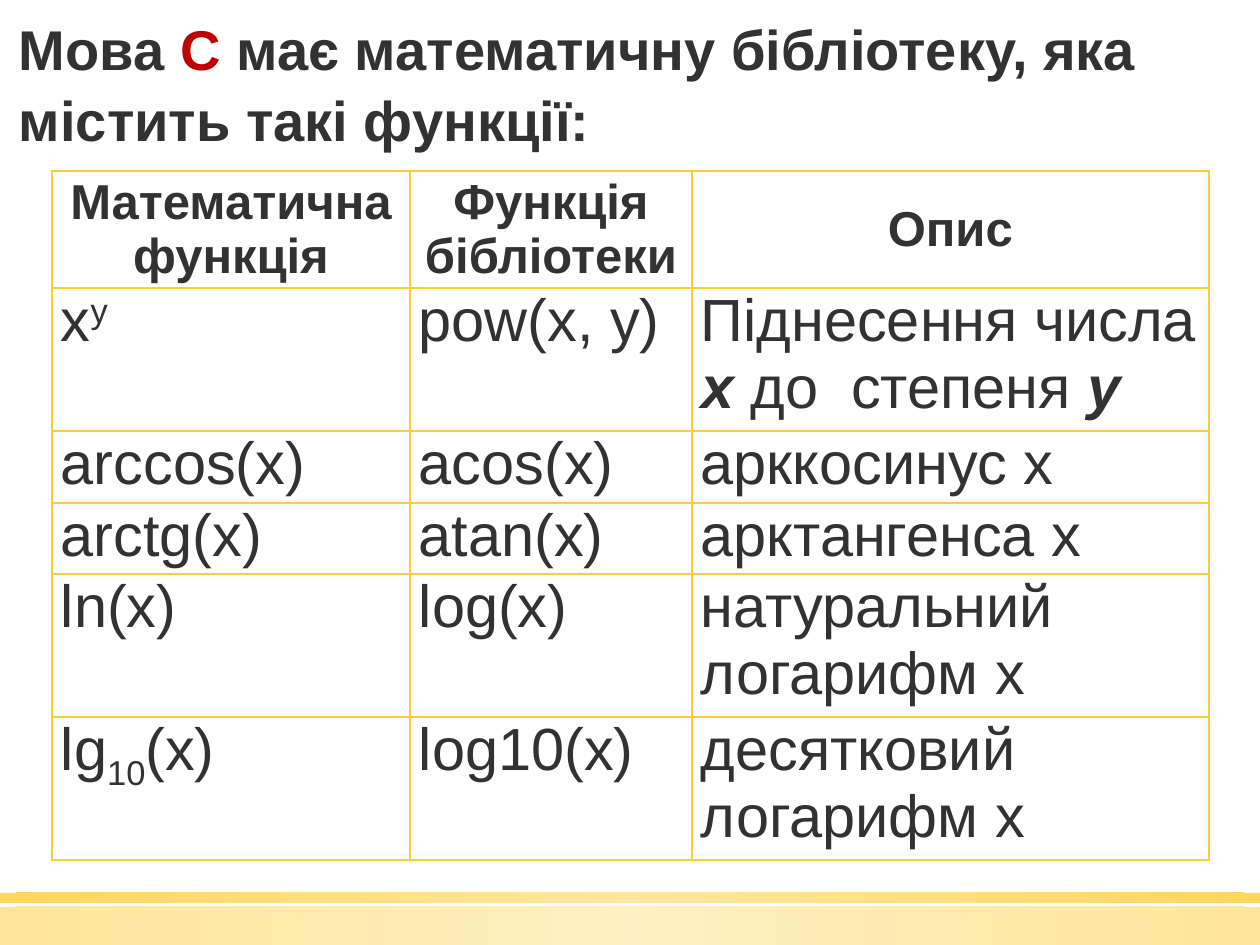
from lxml.etree import SubElement
from pptx import Presentation
from pptx.dml.color import RGBColor
from pptx.enum.shapes import MSO_SHAPE
from pptx.enum.text import MSO_ANCHOR, MSO_AUTO_SIZE, PP_ALIGN
from pptx.oxml import parse_xml
from pptx.oxml.ns import nsdecls, qn
from pptx.util import Pt

EMU_PER_PX = 914400 / 126
COLORS = {"text": "323232", "accent": "C00000", "gold": "FFCD36", "pale": "FFE186"}
FONT = "Arial"
TITLE_ONLY = 5

TITLE = [
    ("Мова ", {}),
    ("С", {"color": "accent"}),
    (" має математичну бібліотеку, яка містить такі функції:", {}),
]
STRONG = {"bold": True, "italic": True}
HEADERS = ["Математична функція", "Функція бібліотеки", "Опис"]
# A cell is plain text or a list of (text, format) runs.
FUNCTIONS = [
    [[("x", {}), ("y", {"baseline": 30})], "pow(x, y)",
     [("Піднесення числа ", {}), ("x ", STRONG), ("до  степеня ", {}), ("y", STRONG)]],
    ["arccos(x)", "acos(x)", "арккосинус x"],
    ["arctg(x)", "atan(x)", "арктангенса x"],
    ["ln(x)", "log(x)", "натуральний логарифм x"],
    [[("lg", {}), ("10", {"baseline": -25}), ("(x)", {})], "log10(x)",
     "десятковий логарифм x"],
]
COLUMN_WIDTHS = [358, 282, 517]
ROW_HEIGHTS = [117, 143, 72, 71, 143, 143]


def px(length):
    return round(length * EMU_PER_PX)


def add_text(paragraph, text, size, bold=False, italic=False, color="text", baseline=0):
    run = paragraph.add_run()
    run.text = text
    font = run.font
    font.name, font.size, font.bold, font.italic = FONT, Pt(size), bold, italic
    font.color.rgb = RGBColor.from_string(COLORS[color])
    if baseline:
        font._element.set("baseline", str(baseline * 1000))


def add_runs(paragraph, content, **base):
    """Write plain text or (text, format) runs over a shared base format."""
    runs = [(content, {})] if isinstance(content, str) else content
    for text, changes in runs:
        add_text(paragraph, text, **{**base, **changes})


def fill_radial(shape, opacity):
    """Fill with a glow that is pale in the centre and gold at the edges."""
    stops = "".join(
        f'<a:gs pos="{position}"><a:srgbClr val="{COLORS[name]}">'
        f'<a:alpha val="{opacity * 1000}"/></a:srgbClr></a:gs>'
        for position, name in ((0, "pale"), (100000, "gold"))
    )
    gradient = parse_xml(
        f'<a:gradFill {nsdecls("a")} rotWithShape="1"><a:gsLst>{stops}</a:gsLst>'
        '<a:path path="circle"><a:fillToRect l="50000" t="50000" r="50000" b="50000"/>'
        "</a:path></a:gradFill>"
    )
    shape._element.spPr.find(qn("a:prstGeom")).addnext(gradient)


def add_footer_bands(slide, left, top, width):
    for offset, height, opacity in ((14, 38, 50), (0, 10, 80)):
        band = slide.shapes.add_shape(
            MSO_SHAPE.RECTANGLE, px(left), px(top + offset), px(width), px(height))
        band.shadow.inherit = False
        band.line.fill.background()
        fill_radial(band, opacity)


def place_title(slide, left, top, width, height):
    title = slide.shapes.title
    title.left, title.top, title.width, title.height = map(px, (left, top, width, height))
    frame = title.text_frame
    frame.word_wrap = True
    frame.auto_size = MSO_AUTO_SIZE.NONE
    frame.vertical_anchor = MSO_ANCHOR.TOP
    frame.margin_left = px(19)
    paragraph = frame.paragraphs[0]
    paragraph.alignment = PP_ALIGN.LEFT
    paragraph.line_spacing = 1.05
    add_runs(paragraph, TITLE, size=32, bold=True)


def format_cell(cell):
    cell.margin_left = cell.margin_right = px(9)
    cell.margin_top = cell.margin_bottom = 0
    properties = cell._tc.get_or_add_tcPr()
    for side in ("lnL", "lnR", "lnT", "lnB"):
        line = SubElement(properties, qn(f"a:{side}"), w=str(Pt(1)))
        solid = SubElement(line, qn("a:solidFill"))
        SubElement(solid, qn("a:srgbClr"), val=COLORS["gold"])
    cell.fill.background()


def add_function_table(slide, left, top):
    table = slide.shapes.add_table(
        len(ROW_HEIGHTS), len(COLUMN_WIDTHS), px(left), px(top),
        px(sum(COLUMN_WIDTHS)), px(sum(ROW_HEIGHTS))).table
    table.first_row = table.horz_banding = False
    for column, width in zip(table.columns, COLUMN_WIDTHS):
        column.width = px(width)
    for row, height in zip(table.rows, ROW_HEIGHTS):
        row.height = px(height)
    for row_index, contents in enumerate([HEADERS, *FUNCTIONS]):
        is_header = row_index == 0
        for column_index, content in enumerate(contents):
            cell = table.cell(row_index, column_index)
            format_cell(cell)
            paragraph = cell.text_frame.paragraphs[0]
            if is_header:
                cell.vertical_anchor = MSO_ANCHOR.MIDDLE
                paragraph.alignment = PP_ALIGN.CENTER
            add_runs(paragraph, content, size=28 if is_header else 34, bold=is_header)


def main():
    presentation = Presentation()
    presentation.slide_width, presentation.slide_height = px(1260), px(945)
    slide = presentation.slides.add_slide(presentation.slide_layouts[TITLE_ONLY])
    add_footer_bands(slide, 0, 893, 1260)
    place_title(slide, 0, 5, 1260, 217)
    add_function_table(slide, 52, 171)
    presentation.save("out.pptx")


if __name__ == "__main__":
    main()
